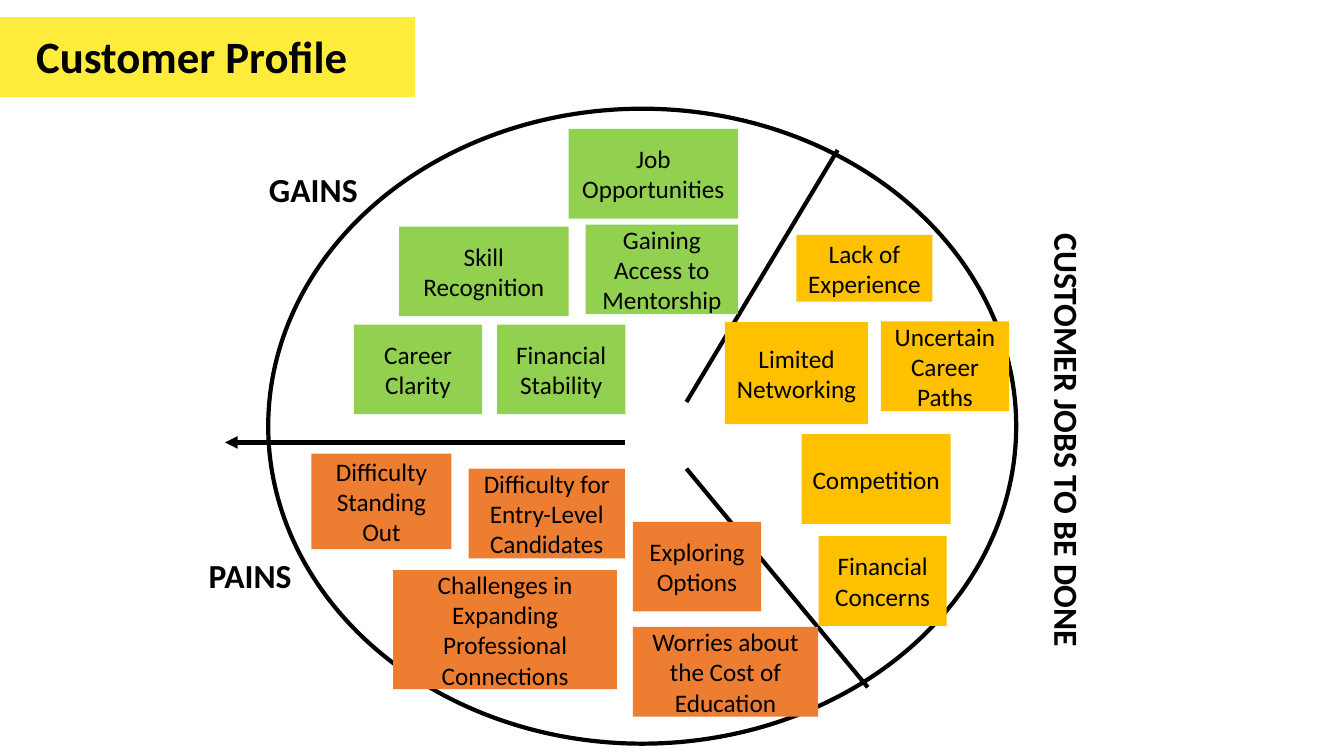
import pptx
import pptx.util
import pptx.dml.color
import pptx.enum.shapes
import pptx.enum.text
import pptx.oxml
import pptx.oxml.ns

Cm, Pt = pptx.util.Cm, pptx.util.Pt
SHAPE = pptx.enum.shapes.MSO_SHAPE
COLORS = {
    "ink": "000000",
    "banner": "FDEC3C",
    "gains": "92D050",
    "pains": "ED7D31",
    "jobs": "FFC000",
}
NOTE_HEIGHT = 2.26
NOTES = {
    "jobs": [
        ("Lack of Experience", 13.31, 3.18, 3.43, 1.68),
        ("Limited Networking", 11.51, 5.38, 3.61, 2.57),
        ("Uncertain Career Paths", 15.44, 5.36, 3.23, NOTE_HEIGHT),
        ("Financial Concerns", 13.87, 10.77, 3.23, NOTE_HEIGHT),
        ("Competition", 13.44, 8.2, 3.76, NOTE_HEIGHT),
    ],
    "pains": [
        ("Difficulty for Entry-Level Candidates", 5.05, 9.07, 3.94, NOTE_HEIGHT),
        ("Challenges in Expanding Professional Connections", 3.15, 11.63, 5.64, 3),
        ("Difficulty Standing Out", 1.09, 8.69, 3.53, 2.41),
        ("Exploring Options", 9.19, 10.41, 3.23, NOTE_HEIGHT),
        ("Worries about the Cost of Education", 9.19, 13.06, 4.67, NOTE_HEIGHT),
    ],
    "gains": [
        ("Job Opportunities", 7.57, 0.51, 4.27, NOTE_HEIGHT),
        ("Career Clarity", 2.16, 5.44, 3.23, NOTE_HEIGHT),
        ("Skill Recognition", 3.3, 2.97, 4.27, NOTE_HEIGHT),
        ("Gaining Access to Mentorship", 8, 2.92, 3.84, NOTE_HEIGHT),
        ("Financial Stability", 5.77, 5.44, 3.23, NOTE_HEIGHT),
    ],
}
DIVIDERS = [
    (8.99, 8.41, -1.09, 8.41),
    (10.54, 7.39, 14.35, 1.04),
    (10.54, 9.07, 15.11, 14.58),
]
SECTION_LABELS = [
    ("CUSTOMER JOBS TO BE DONE", 12.83, 9.58, 14.63, 90),
    ("PAINS", -1.75, 11.13, 3.25, 0),
    ("GAINS", -0.23, 1.4, 3.25, 0),
]


def rgb(name):
    """Return the named colour."""
    return pptx.dml.color.RGBColor.from_string(COLORS[name])


def write(frame, text, size, bold=False):
    """Put one wrapped paragraph into a text frame and return it."""
    frame.word_wrap = True
    paragraph = frame.paragraphs[0]
    paragraph.text = text
    paragraph.font.name = "Calibri"
    paragraph.font.size = Pt(size)
    paragraph.font.bold = bold
    paragraph.font.color.rgb = rgb("ink")
    return paragraph


def add_label(slide, text, left, top, width, height, size, rotation=0):
    """Add a bold heading, turned by the given angle."""
    label = slide.shapes.add_textbox(Cm(left), Cm(top), Cm(width), Cm(height))
    label.rotation = rotation
    write(label.text_frame, text, size, bold=True)


def add_note(slide, text, color, left, top, width, height):
    """Add a coloured sticky note with centred text."""
    note = slide.shapes.add_shape(SHAPE.RECTANGLE, Cm(left), Cm(top), Cm(width), Cm(height))
    note.shadow.inherit = False
    note.fill.solid()
    note.fill.fore_color.rgb = rgb(color)
    note.line.fill.background()
    note.text_frame.vertical_anchor = pptx.enum.text.MSO_ANCHOR.MIDDLE
    write(note.text_frame, text, 18).alignment = pptx.enum.text.PP_ALIGN.CENTER


def add_divider(slide, start_x, start_y, end_x, end_y):
    """Add a heavy line between two sections of the profile."""
    divider = slide.shapes.add_connector(
        pptx.enum.shapes.MSO_CONNECTOR.STRAIGHT,
        Cm(start_x), Cm(start_y), Cm(end_x), Cm(end_y))
    divider.line.color.rgb = rgb("ink")
    divider.line.width = Pt(3)
    divider._element.spPr.append(pptx.oxml.parse_xml(
        f"<a:effectLst {pptx.oxml.ns.nsdecls('a')}/>"))
    return divider


def add_title(slide, left, top, width, height):
    """Draw the title banner in the given box."""
    banner = slide.shapes.add_shape(SHAPE.RECTANGLE, Cm(left), Cm(top), Cm(width), Cm(height))
    banner.shadow.inherit = False
    banner.fill.solid()
    banner.fill.fore_color.rgb = rgb("banner")
    banner.line.color.rgb = rgb("banner")
    banner.line.width = Pt(0.75)
    add_label(slide, "Customer Profile", left + 0.66, top + 0.18, width, 1.63, 32)


def add_profile(slide, left, top, width, height):
    """Draw the customer circle, its sections and notes in the given box."""
    circle = slide.shapes.add_shape(SHAPE.OVAL, Cm(left), Cm(top), Cm(width), Cm(height))
    circle.shadow.inherit = False
    circle.fill.background()
    circle.line.color.rgb = rgb("ink")
    circle.line.width = Pt(3)

    gains_pains, *others = [
        add_divider(slide, left + x1, top + y1, left + x2, top + y2)
        for x1, y1, x2, y2 in DIVIDERS]
    gains_pains.line._get_or_add_ln().append(pptx.oxml.parse_xml(
        f"<a:tailEnd {pptx.oxml.ns.nsdecls('a')} type=\"triangle\"/>"))

    for section, notes in NOTES.items():
        for text, x, y, note_width, note_height in notes:
            add_note(slide, text, section, left + x, top + y, note_width, note_height)
    for text, x, y, label_width, rotation in SECTION_LABELS:
        add_label(slide, text, left + x, top + y, label_width, 1.27, 24, rotation)


def main():
    """Build the customer profile slide."""
    deck = pptx.Presentation()
    deck.slide_width, deck.slide_height = Cm(33.87), Cm(19.05)
    slide = deck.slides.add_slide(deck.slide_layouts[6])
    add_title(slide, 0, 0.43, 10.44, 2.01)
    add_profile(slide, 6.76, 2.74, 18.85, 16)
    deck.save("out.pptx")


if __name__ == "__main__":
    main()
